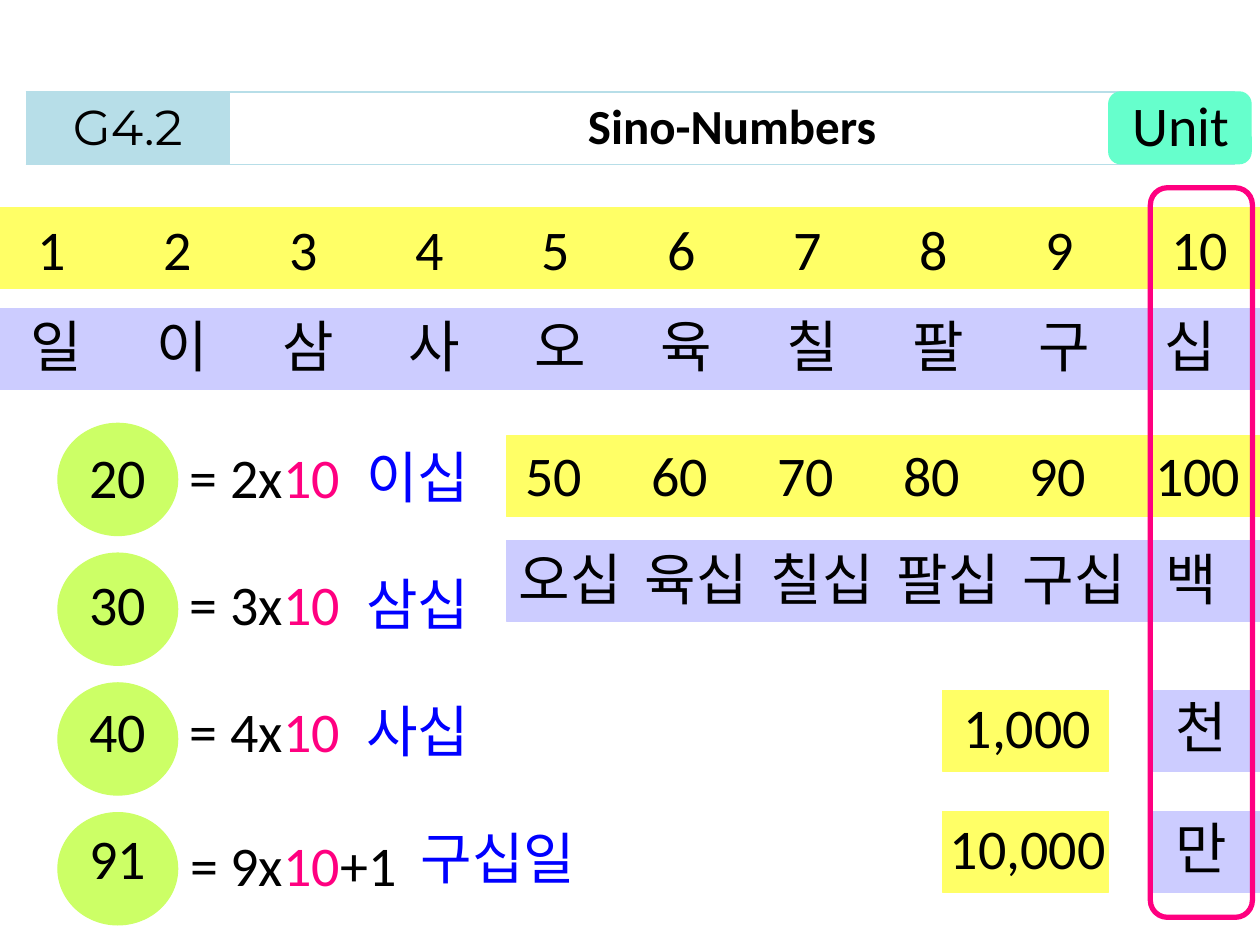
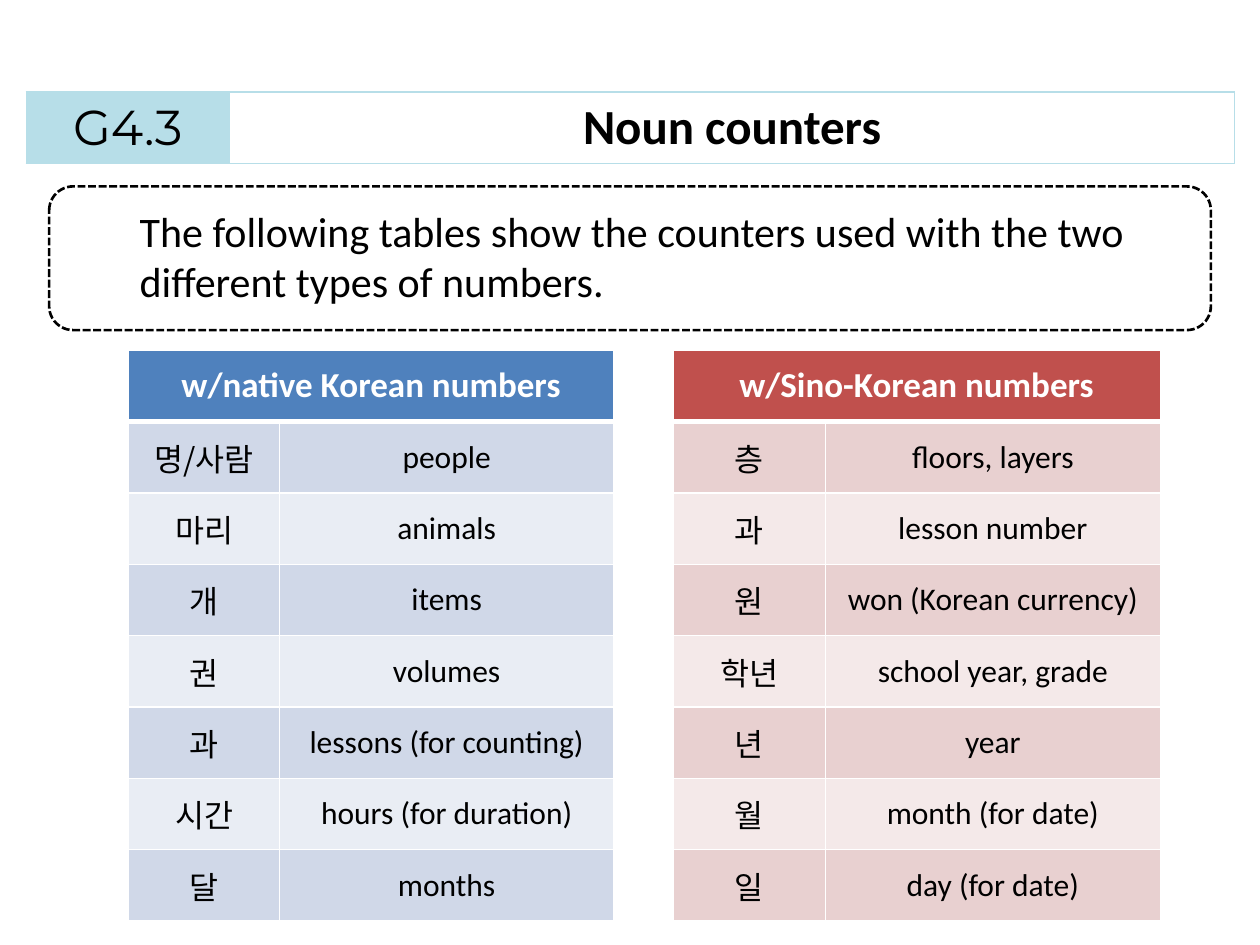
from lxml import etree
from pptx import Presentation
from pptx.dml.color import RGBColor
from pptx.enum.dml import MSO_LINE
from pptx.enum.shapes import MSO_SHAPE as Shape
from pptx.enum.text import MSO_ANCHOR as Anchor, MSO_AUTO_SIZE as AutoSize, PP_ALIGN as Align
from pptx.oxml.ns import qn
from pptx.util import Inches, Pt

BLACK = RGBColor(0x00, 0x00, 0x00)
WHITE = RGBColor(0xFF, 0xFF, 0xFF)
SKY = RGBColor(0xB7, 0xDE, 0xE8)
YELLOW = RGBColor(0xFF, 0xFF, 0x66)
LAVENDER = RGBColor(0xCC, 0xCC, 0xFF)
LIME = RGBColor(0xCC, 0xFF, 0x66)
MINT = RGBColor(0x66, 0xFF, 0xCC)
PINK = RGBColor(0xFF, 0x00, 0x80)
BLUE = RGBColor(0x00, 0x00, 0xFF)
NATIVE_SHADES = (RGBColor(0x4F, 0x81, 0xBD), RGBColor(0xD0, 0xD8, 0xE8), RGBColor(0xE9, 0xED, 0xF4))
SINO_SHADES = (RGBColor(0xC0, 0x50, 0x4D), RGBColor(0xE8, 0xD0, 0xD0), RGBColor(0xF4, 0xE9, 0xE9))

LATIN = "Calibri"
KOREAN = "Noto Sans CJK KR"
CODE_FONT = "Montserrat"

HEADER_TOP = 0.73
BAND_HEIGHT = 0.64

DIGITS = ["1", "2", "3", "4", "5", "6", "7", "8", "9", "10"]
DIGIT_WORDS = ["일", "이", "삼", "사", "오", "육", "칠", "팔", "구", "십"]
TENS = ["50", "60", "70", "80", "90", "100"]
TEN_WORDS = ["오십", "육십", "칠십", "팔십", "구십", "백"]

SUMS = [
    ("20", "= 2x", "", "이십", 2.81, 1.4),
    ("30", "= 3x", "", "삼십", 2.81, 1.4),
    ("40", "= 4x", "", "사십", 2.81, 1.4),
    ("91", "= 9x", "+1", "구십일", 3.24, 1.85),
]
NATIVE_COUNTERS = [
    ("명/사람", "people"),
    ("마리", "animals"),
    ("개", "items"),
    ("권", "volumes"),
    ("과", "lessons (for counting)"),
    ("시간", "hours (for duration)"),
    ("달", "months"),
]
SINO_COUNTERS = [
    ("층", "floors, layers"),
    ("과", "lesson number"),
    ("원", "won (Korean currency)"),
    ("학년", "school year, grade"),
    ("년", "year"),
    ("월", "month (for date)"),
    ("일", "day (for date)"),
]


def add_span(para, text, size, font=LATIN, color=BLACK, bold=False):
    """Append one formatted run to a paragraph."""
    span = para.add_run()
    span.text = text
    span.font.name = font
    span.font.size = Pt(size)
    span.font.bold = bold
    span.font.color.rgb = color
    if font == KOREAN:
        latin = span.font._element.find(qn("a:latin"))
        latin.addnext(etree.Element(qn("a:ea"), typeface=font))


def add_text(page, left, top, width, spans, size=32, font=LATIN, wrap=False, height=BAND_HEIGHT):
    """Add a text box of (text, colour) spans and return its paragraph."""
    box = page.shapes.add_textbox(Inches(left), Inches(top), Inches(width), Inches(height))
    frame = box.text_frame
    frame.word_wrap = wrap
    frame.auto_size = AutoSize.SHAPE_TO_FIT_TEXT
    para = frame.paragraphs[0]
    for text, color in spans:
        add_span(para, text, size, font, color)
    return para


def add_tabbed_row(page, left, top, width, words, font=LATIN, last_shift=0):
    """Write words one inch apart on tab stops, the last one optionally shifted."""
    para = add_text(page, left, top, width, [("\t".join(words), BLACK)], font=font, wrap=True)
    stops = etree.SubElement(para._p.get_or_add_pPr(), qn("a:tabLst"))
    for column in range(1, len(words)):
        shift = last_shift if column == len(words) - 1 else 0
        etree.SubElement(stops, qn("a:tab"), pos=str(Inches(column + shift)), algn="l")


def add_block(page, kind, left, top, width, height, color):
    """Add a filled shape whose outline has the same colour."""
    block = page.shapes.add_shape(kind, Inches(left), Inches(top), Inches(width), Inches(height))
    block.shadow.inherit = False
    block.fill.solid()
    block.fill.fore_color.rgb = color
    block.line.color.rgb = color
    block.line.width = Pt(0.75)
    return block


def add_frame(page, left, top, width, height, color, weight):
    """Add an unfilled rounded outline."""
    frame = add_block(page, Shape.ROUNDED_RECTANGLE, left, top, width, height, color)
    frame.fill.background()
    frame.line.width = Pt(weight)
    return frame


def add_plain_table(page, left, top, widths, row_count, height):
    """Add a table of equal rows without header or banding styles."""
    table = page.shapes.add_table(row_count, len(widths), Inches(left), Inches(top),
                                  Inches(sum(widths)), Inches(height)).table
    table.first_row = table.horz_banding = False
    for column, width in zip(table.columns, widths):
        column.width = Inches(width)
    return table


def style_cell(cell, fill, border, bottom=1):
    """Give a cell its borders, fill and vertical centring."""
    cell.vertical_anchor = Anchor.MIDDLE
    properties = cell._tc.get_or_add_tcPr()
    for side, weight in (("L", 1), ("R", 1), ("T", 1), ("B", bottom)):
        line = etree.SubElement(properties, qn(f"a:ln{side}"), w=str(Pt(weight)))
        paint = etree.SubElement(line, qn("a:solidFill"))
        etree.SubElement(paint, qn("a:srgbClr"), val=str(border))
    if fill is None:
        cell.fill.background()
    else:
        cell.fill.solid()
        cell.fill.fore_color.rgb = fill


def write_cell(cell, text, size, font=LATIN, color=BLACK, bold=False):
    """Write centred text in a table cell."""
    para = cell.text_frame.paragraphs[0]
    para.alignment = Align.CENTER
    add_span(para, text, size, font, color, bold)


def add_header(page, code, title):
    """Draw the strip that holds the section code and the heading."""
    strip = add_plain_table(page, 0.21, HEADER_TOP, (1.61, 7.98), 1, 0.55)
    code_cell, title_cell = strip.cell(0, 0), strip.cell(0, 1)
    style_cell(code_cell, SKY, SKY)
    style_cell(title_cell, None, SKY)
    write_cell(code_cell, code, 28, CODE_FONT)
    write_cell(title_cell, title, 28, bold=True)


def add_sum(page, index, number, start, rest, word, word_left, width):
    """Show a circled number, how it is composed and its Korean name."""
    top = 3.46 + 1.01 * index
    formula_top = top + 0.05 if rest else top
    add_block(page, Shape.OVAL, 0.46, 3.36 + 1.03 * index, 0.95, 0.89, LIME)
    add_text(page, 0.61, top, 0.66, [(number, BLACK)])
    spans = [(start, BLACK), ("10", PINK)]
    if rest:
        spans.append((rest, BLACK))
    add_text(page, 1.41, formula_top, width, spans)
    add_text(page, word_left, top, 0.21 + 0.42 * len(word), [(word, BLUE)], font=KOREAN)


def add_large_number(page, top, number, left, width, word):
    """Show a large number beside its Korean unit."""
    add_block(page, Shape.RECTANGLE, 7.48, top, 1.32, BAND_HEIGHT, YELLOW)
    add_block(page, Shape.RECTANGLE, 9.13, top, 0.88, BAND_HEIGHT, LAVENDER)
    add_text(page, left, top - 0.03, width, [(number, BLACK)])
    add_text(page, 9.23, top - 0.03, 0.62, [(word, BLACK)], font=KOREAN)


def add_counter_table(page, left, widths, heading, counters, shades):
    """Add a two-column counter table under a merged heading."""
    head_shade, *row_shades = shades
    table = add_plain_table(page, left, 2.78, widths, len(counters) + 1, 4.53)
    table.cell(0, 0).merge(table.cell(0, 1))
    for column in range(2):
        style_cell(table.cell(0, column), head_shade, WHITE, bottom=3)
    write_cell(table.cell(0, 0), heading, 20, color=WHITE, bold=True)
    for index, pair in enumerate(counters):
        for column, (text, font) in enumerate(zip(pair, (KOREAN, LATIN))):
            cell = table.cell(index + 1, column)
            style_cell(cell, row_shades[index % 2], WHITE)
            write_cell(cell, text, 18, font)


def build_numbers(page):
    """Build the Sino-Korean numbers slide."""
    add_header(page, "G4.2", "Sino-Numbers")
    for left, top, color in ((0, 1.65, YELLOW), (0, 2.45, LAVENDER),
                             (4.02, 3.46, YELLOW), (4.02, 4.29, LAVENDER)):
        add_block(page, Shape.RECTANGLE, left, top, 10 - left, BAND_HEIGHT, color)
    add_tabbed_row(page, 0.2, 1.65, 9.74, DIGITS)
    add_tabbed_row(page, 0.14, 2.42, 9.9, DIGIT_WORDS, KOREAN)
    add_tabbed_row(page, 4.07, 3.45, 5.93, TENS)
    add_tabbed_row(page, 4.02, 4.27, 6.22, TEN_WORDS, KOREAN, last_shift=0.13)
    for index, parts in enumerate(SUMS):
        add_sum(page, index, *parts)
    add_large_number(page, 5.48, "1,000", 7.55, 1.22, "천")
    add_large_number(page, 6.44, "10,000", 7.44, 1.45, "만")
    add_frame(page, 9.13, 1.49, 0.81, 5.79, PINK, 3)
    add_block(page, Shape.ROUNDED_RECTANGLE, 8.8, HEADER_TOP, 1.13, 0.57, MINT)
    add_text(page, 8.89, 0.67, 0.98, [("Unit", BLACK)])


def build_counters(page):
    """Build the noun counters slide."""
    add_header(page, "G4.3", "Noun counters")
    intro = "The following tables show the counters used with the two different types of numbers."
    add_text(page, 1.01, 1.58, 8.19, [(intro, BLACK)], size=24, wrap=True, height=0.91)
    frame = add_frame(page, 0.39, 1.48, 9.22, 1.14, BLACK, 1.5)
    frame.line.dash_style = MSO_LINE.SQUARE_DOT
    add_counter_table(page, 1.02, (1.2, 2.65), "w/native Korean numbers", NATIVE_COUNTERS, NATIVE_SHADES)
    add_counter_table(page, 5.34, (1.21, 2.66), "w/Sino-Korean numbers", SINO_COUNTERS, SINO_SHADES)


def main():
    """Build and save the deck."""
    deck = Presentation()
    deck.slide_width, deck.slide_height = Inches(10), Inches(7.5)
    blank = deck.slide_layouts[6]
    for build in (build_numbers, build_counters):
        build(deck.slides.add_slide(blank))
    deck.save("out.pptx")


if __name__ == "__main__":
    main()
